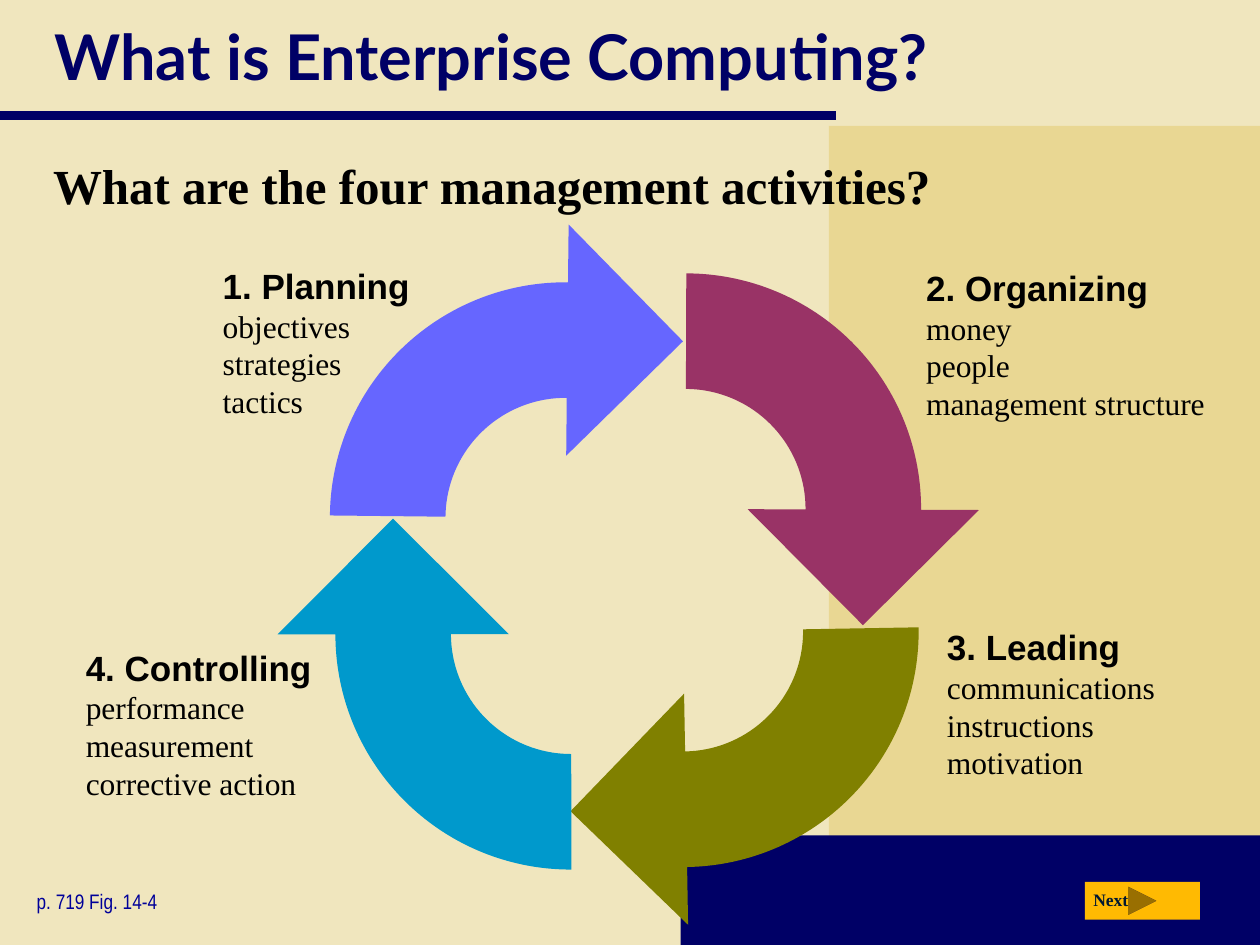
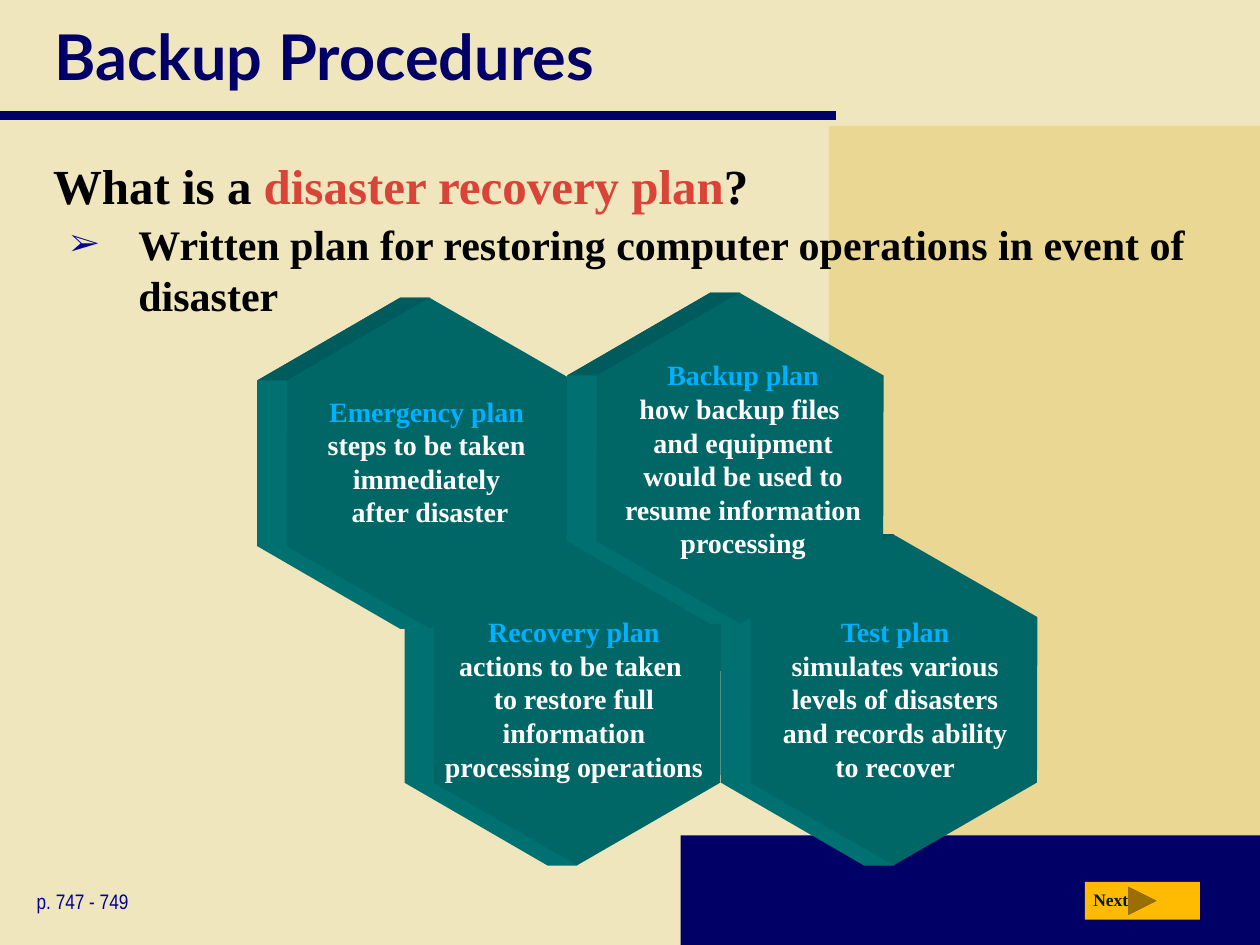
from math import cos, radians, sin, tan

from lxml import etree
from pptx import Presentation
from pptx.dml.color import RGBColor
from pptx.enum.shapes import MSO_CONNECTOR, MSO_SHAPE
from pptx.enum.text import MSO_ANCHOR, PP_ALIGN
from pptx.oxml.ns import qn
from pptx.util import Cm, Pt

RECT, HEXAGON = MSO_SHAPE.RECTANGLE, MSO_SHAPE.HEXAGON
NEXT_BUTTON = MSO_SHAPE.ACTION_BUTTON_FORWARD_OR_NEXT
STRAIGHT = MSO_CONNECTOR.STRAIGHT
TOP, MIDDLE = MSO_ANCHOR.TOP, MSO_ANCHOR.MIDDLE
LEFT, CENTER = PP_ALIGN.LEFT, PP_ALIGN.CENTER

COLORS = {
    "paper": "F0E6BE", "sand": "E9D793", "navy": "000066", "blue": "000099",
    "black": "000000", "white": "FFFFFF", "red": "D94439", "sky": "01B0FF",
    "amber": "FFBA02", "button_text": "001932",
    "violet": "6666FF", "plum": "993366", "olive": "808000", "cyan": "0099CC",
    "face": "006666", "side": "007070", "shade": "005C5C",
}
SERIF = "Times New Roman"
STYLES = {
    "title": {"name": "Lato", "size": Pt(36), "bold": True},
    "question": {"name": SERIF, "size": Pt(28), "bold": True},
    "bullet": {"name": SERIF, "size": Pt(24), "bold": True},
    "page": {"name": "Arial Narrow", "size": Pt(12), "bold": False},
    "next": {"name": SERIF, "size": Pt(10), "bold": True},
    "heading": {"name": "Arial", "size": Pt(20), "bold": True},
    "detail": {"name": SERIF, "size": Pt(18), "bold": False},
    "plan": {"name": SERIF, "size": Pt(16), "bold": True},
}


def add_text(s, box, runs, align=LEFT, anchor=TOP):
    """Add one paragraph; runs are (text, style, colour), "\n" breaks a line."""
    tf = s.shapes.add_textbox(*[Cm(v) for v in box]).text_frame
    tf.word_wrap = True
    tf.vertical_anchor = anchor
    p = tf.paragraphs[0]
    p.alignment = align
    for text, style, color in runs:
        for i, line in enumerate(text.split("\n")):
            if i:
                p.add_line_break()
            if not line:
                continue
            r = p.add_run()
            r.text = line
            for key, value in STYLES[style].items():
                setattr(r.font, key, value)
            r.font.color.rgb = RGBColor.from_string(COLORS[color])
    return p


def add_filled(s, kind, geometry, color):
    """Add a preset shape in a box, or an outline through points if kind is None."""
    if kind is None:
        points = [(Cm(x), Cm(y)) for x, y in geometry]
        builder = s.shapes.build_freeform(*points[0], scale=1.0)
        builder.add_line_segments(points[1:], close=True)
        sp = builder.convert_to_shape()
    else:
        sp = s.shapes.add_shape(kind, *[Cm(v) for v in geometry])
    sp.shadow.inherit = False
    sp.fill.solid()
    sp.fill.fore_color.rgb = RGBColor.from_string(COLORS[color])
    sp.line.fill.background()
    return sp


prs = Presentation()
prs.slide_width, prs.slide_height = Cm(25.4), Cm(19.05)

# Shared frame: background, bands, title, question, page reference, button
frames = [
    ("What is Enterprise Computing?",
     [("What are the four management activities?", "question", "black")],
     "p. 719 Fig. 14-4"),
    ("Backup Procedures",
     [("What is a ", "question", "black"),
      ("disaster recovery plan", "question", "red"),
      ("?", "question", "black")],
     "p. 747 - 749"),
]
slides = []
for title, question, page in frames:
    s = prs.slides.add_slide(prs.slide_layouts[6])
    slides.append(s)
    s.background.fill.solid()
    s.background.fill.fore_color.rgb = RGBColor.from_string(COLORS["paper"])
    add_filled(s, RECT, (16.71, 2.54, 8.69, 16.51), "sand")
    add_filled(s, RECT, (13.72, 16.84, 11.68, 2.21), "navy")
    rule = s.shapes.add_connector(STRAIGHT, Cm(0), Cm(2.33), Cm(16.86), Cm(2.33))
    rule.line.width = Pt(5)
    rule.line.color.rgb = RGBColor.from_string(COLORS["navy"])
    etree.SubElement(rule._element.spPr, qn("a:effectLst"))
    add_text(s, (0.85, 0, 23.85, 2.24), [(title, "title", "navy")], anchor=MIDDLE)
    add_text(s, (0.82, 3.02, 23.85, 1.83), question)
    add_text(s, (0.49, 17.78, 4.29, 0.76), [(page, "page", "blue")])
    add_filled(s, NEXT_BUTTON, (21.87, 17.78, 2.32, 0.76), "amber")
    add_text(s, (21.79, 17.8, 1.3, 0.69), [("Next", "next", "button_text")])

cycle, backup = slides

# Outline of one cycle arrow, in a square frame around the ring's centre
FRAME = 9.5
OUTER, INNER = 4.75, 2.42
MID, HALF = (OUTER + INNER) / 2, (OUTER - INNER) / 2
START, END = -9.3, 80.7
polar = [(OUTER, START, 0), (OUTER, 0, 0), (OUTER, END, 0),
         (MID + 2 * HALF, END, 0), (MID, END, 2 * HALF), (MID - 2 * HALF, END, 0),
         (INNER, END, 0), (INNER, 0, 0), (INNER, START, 0)]
CURVED = (1, 2, 7, 8)   # points that are reached along an arc
knots = []
for radius, angle, ahead in polar:
    t = radians(angle)
    knots.append((FRAME / 2 + radius * cos(t) - ahead * sin(t),
                  FRAME / 2 + radius * sin(t) + ahead * cos(t)))
segments = [("a:moveTo", knots[:1])]
for i in range(1, len(knots)):
    if i not in CURVED:
        segments.append(("a:lnTo", [knots[i]]))
        continue
    a, b = radians(polar[i - 1][1]), radians(polar[i][1])
    k = 4 / 3 * tan((b - a) / 4) * polar[i][0]
    (x1, y1), (x2, y2) = knots[i - 1], knots[i]
    segments.append(("a:cubicBezTo", [(x1 - k * sin(a), y1 + k * cos(a)),
                                      (x2 + k * sin(b), y2 - k * cos(b)), (x2, y2)]))
segments.append(("a:close", []))

# Management cycle: labels and turned arrows
activities = [
    ("1. Planning\n", "objectives\nstrategies\ntactics",
     (4.24, 5.21, 4.65, 3.4), (6.65, 5.69), 189.9, "violet"),
    ("2. Organizing\n", "money\npeople\nmanagement structure",
     (18.42, 5.25, 6.55, 3.4), (9.07, 5.51), 279.5, "plum"),
    ("3. Leading\n", "communications\ninstructions\nmotivation",
     (18.84, 12.49, 5.72, 3.4), (9.02, 7.98), 8.3, "olive"),
    ("4. Controlling\n", "performance\nmeasurement\ncorrective action",
     (1.48, 12.9, 5.28, 3.4), (6.76, 8.03), 99.2, "cyan"),
]
for heading, details, box, (left, top), turn, color in activities:
    add_text(cycle, box, [(heading, "heading", "black"), (details, "detail", "black")])
    sp = add_filled(cycle, None, knots, color)
    sp.left, sp.top, sp.width, sp.height = Cm(left), Cm(top), Cm(FRAME), Cm(FRAME)
    sp.rotation = turn
    outline = sp._element.spPr.find(".//" + qn("a:path"))
    for child in list(outline):
        outline.remove(child)
    outline.set("w", str(Cm(FRAME)))
    outline.set("h", str(Cm(FRAME)))
    for tag, points in segments:
        step = etree.SubElement(outline, qn(tag))
        for x, y in points:
            etree.SubElement(step, qn("a:pt"), x=str(Cm(x)), y=str(Cm(y)))

# Disaster recovery plan: bullet
p = add_text(backup, (0.84, 4.29, 23.85, 3.73),
             [("Written plan for restoring computer operations in event of disaster",
               "bullet", "black")])
pPr = p._p.get_or_add_pPr()
pPr.set("marL", str(Cm(1.7)))
pPr.set("indent", str(-Cm(1.37)))
clr = etree.SubElement(pPr, qn("a:buClr"))
etree.SubElement(clr, qn("a:srgbClr"), val=COLORS["blue"])
etree.SubElement(pPr, qn("a:buSzPct"), val="75000")
etree.SubElement(pPr, qn("a:buFont"), typeface=SERIF)
etree.SubElement(pPr, qn("a:buChar"), char="➢")

# Disaster recovery plan: upright hexagons with depth to the left
LONG, SHORT, DEPTH = 6.68, 5.77, 0.6
plans = [
    ("Recovery plan\n",
     "actions to be taken \nto restore full information processing operations",
     (11.64, 14.11), (8.71, 12.27, 5.72, 4.32)),
    ("Test plan\n",
     "simulates various levels of disasters and records ability to recover",
     (18.02, 14.11), (15.29, 12.27, 5.51, 3.66)),
    ("Emergency plan\n", "steps to be taken immediately\n after disaster",
     (8.67, 9.34), (5.97, 7.82, 5.26, 2.97)),
    ("Backup plan\n",
     "how backup files \nand equipment would be used to resume information processing",
     (14.92, 9.24), (12.12, 7.09, 5.72, 4.32)),
]
for name, details, (cx, cy), box in plans:
    corners = [(cx, cy - LONG / 2), (cx - SHORT / 2, cy - LONG / 4),
               (cx - SHORT / 2, cy + LONG / 4), (cx, cy + LONG / 2)]
    back = [(x - DEPTH, y) for x, y in corners]
    add_filled(backup, None, back + [corners[3], corners[0]], "side")
    add_filled(backup, None, back[:2] + [corners[1], corners[0]], "shade")
    sp = add_filled(backup, HEXAGON,
                    (cx - LONG / 2, cy - SHORT / 2, LONG, SHORT), "face")
    sp.adjustments[0] = 0.29
    sp.rotation = 330
    add_text(backup, box, [(name, "plan", "sky"), (details, "plan", "white")],
             align=CENTER)

prs.save("out.pptx")
